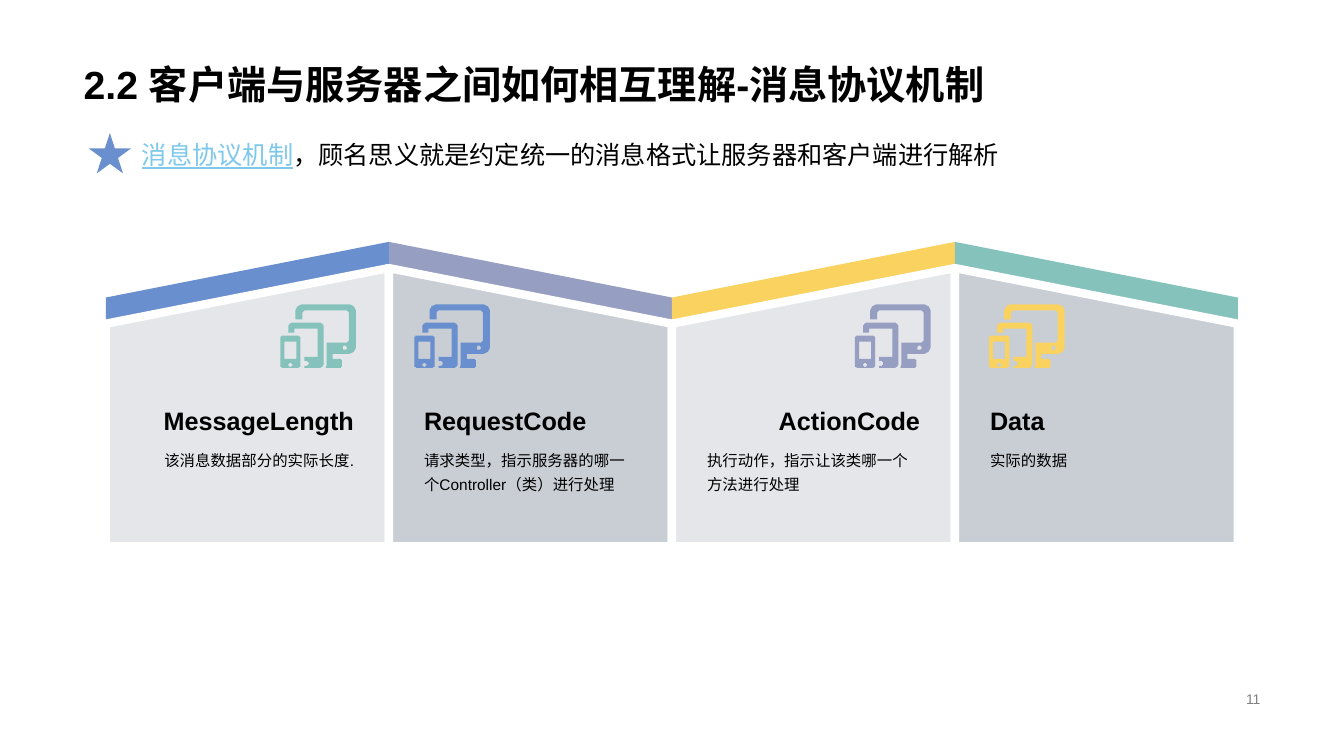
import math

import pptx
import pptx.util
from pptx.dml.color import RGBColor
from pptx.enum.shapes import MSO_SHAPE
from pptx.enum.text import MSO_ANCHOR, MSO_AUTO_SIZE, PP_ALIGN
from pptx.util import Inches

BLUE = RGBColor(0x69, 0x8F, 0xCE)
LILAC = RGBColor(0x96, 0x9E, 0xC2)
YELLOW = RGBColor(0xFA, 0xD2, 0x5F)
TEAL = RGBColor(0x85, 0xC2, 0xBC)
LIGHT = RGBColor(0xE4, 0xE6, 0xEA)
MID = RGBColor(0xC9, 0xCE, 0xD5)
SKY = RGBColor(0x7D, 0xC8, 0xEB)
GRAY = RGBColor(0x80, 0x80, 0x80)
BLACK = RGBColor(0, 0, 0)
WHITE = RGBColor(0xFF, 0xFF, 0xFF)
LEFT, RIGHT = PP_ALIGN.LEFT, PP_ALIGN.RIGHT

HEADLINE = "2.2 客户端与服务器之间如何相互理解-消息协议机制"
KEYWORD = "消息协议机制"
DEFINITION = "，顾名思义就是约定统一的消息格式让服务器和客户端进行解析"
PAGE_NUMBER = "11"

# heading, description, description alignment, roof colour, icon colour, icon left
FIELDS = [
    ("MessageLength", "该消息数据部分的实际长度.", RIGHT, BLUE, TEAL, 2.78),
    ("RequestCode", "请求类型，指示服务器的哪一个Controller（类）进行处理", LEFT, LILAC, BLUE, 4.11),
    ("ActionCode", "执行动作，指示让该类哪一个方法进行处理", LEFT, YELLOW, LILAC, 8.48),
    ("Data", "实际的数据", LEFT, TEAL, YELLOW, 9.81),
]

CARDS_LEFT, ROOF_TOP, WALL_TOP = 1.05, 2.4, 2.66
CARD_WIDTH, CARD_HEIGHT = 2.807, 2.76
ICON_TOP = 3.02


def rounded_box(left, top, right, bottom, radius):
    return [(left, top, radius), (right, top, radius),
            (right, bottom, radius), (left, bottom, radius)]


PHONE_BUTTON = rounded_box(8.2, 58, 12, 62, 1.9)
MONITOR_LIGHT = rounded_box(61.5, 41, 66, 45.2, 2.1)
PHONE_SCREEN = rounded_box(4, 37, 16, 54, 0)
PHONE = rounded_box(0, 31, 20, 63, 3)
TABLET = [(8, 18, 4), (43, 18, 4), (43, 63, 4), (24, 63, 0), (24, 61, 0),
          (28, 61, 2.4), (28, 56, 2.4), (24, 56, 0), (24, 52, 0), (37, 52, 0),
          (37, 24, 0), (14, 24, 0), (14, 28, 0), (8, 28, 0)]
MONITOR = [(15, 0, 8), (75, 0, 8), (75, 49, 8), (52, 49, 0), (52, 54, 0),
           (61, 54, 2.5), (61, 63, 2.5), (45, 63, 0), (46, 60, 0), (46, 38, 0),
           (68, 38, 3), (68, 6, 3), (22, 6, 3), (22, 15, 0), (15, 15, 0)]
DEVICES = [PHONE_BUTTON, MONITOR_LIGHT, PHONE_SCREEN, PHONE, TABLET, MONITOR]


def outline(corners):
    points = []
    for index, (x, y, radius) in enumerate(corners):
        if not radius:
            points.append((x, y))
            continue
        ends = []
        for nx, ny, _ in (corners[index - 1], corners[(index + 1) % len(corners)]):
            reach = radius / math.hypot(nx - x, ny - y)
            ends.append(((nx - x) * reach, (ny - y) * reach))
        (ax, ay), (bx, by) = ends
        for step in range(7):
            angle = step * math.pi / 12
            toward_a, toward_b = 1 - math.sin(angle), 1 - math.cos(angle)
            points.append((x + ax * toward_a + bx * toward_b,
                           y + ay * toward_a + by * toward_b))
    return points


def paint(shape, color, border=None):
    shape.shadow.inherit = False
    shape.fill.solid()
    shape.fill.fore_color.rgb = color
    if border is None:
        shape.line.fill.background()
    else:
        shape.line.color.rgb = border
        shape.line.width = pptx.util.Pt(6)


def style(paragraph, size, color, bold=False, align=LEFT, spacing=None):
    paragraph.alignment = align
    paragraph.line_spacing = spacing
    paragraph.font.name = "Arial"
    paragraph.font.size = pptx.util.Pt(size)
    paragraph.font.bold = bold
    paragraph.font.color.rgb = color


def add_text(slide, box, text, size, color, anchor=MSO_ANCHOR.TOP, **look):
    frame = slide.shapes.add_textbox(*map(Inches, box)).text_frame
    frame.word_wrap = True
    frame.vertical_anchor = anchor
    paragraph = frame.paragraphs[0]
    paragraph.text = text
    style(paragraph, size, color, **look)
    return paragraph


def add_panel(slide, left, top, color, mirrored, border=None):
    panel = slide.shapes.add_shape(
        MSO_SHAPE.FLOWCHART_MANUAL_INPUT,
        *map(Inches, (left, top, CARD_WIDTH, CARD_HEIGHT)))
    paint(panel, color, border)
    if mirrored:
        panel._element.spPr.xfrm.set("flipH", "1")


def add_devices(slide, left, color):
    contours = [outline(device) for device in DEVICES]
    builder = slide.shapes.build_freeform(*contours[0][0], scale=Inches(0.01))
    for index, points in enumerate(contours):
        if index:
            builder.move_to(*points[0])
        builder.add_line_segments(points[1:], close=True)
    paint(builder.convert_to_shape(Inches(left), Inches(ICON_TOP)), color)


def main():
    deck = pptx.Presentation()
    deck.slide_width, deck.slide_height = Inches(13.33), Inches(7.5)
    slide = deck.slides.add_slide(deck.slide_layouts[5])

    title = slide.shapes.title
    title.left, title.top, title.width, title.height = map(
        Inches, (0.73, 0, 11.87, 1.12))
    title.text_frame.text = HEADLINE
    title.text_frame.auto_size = MSO_AUTO_SIZE.NONE
    title.text_frame.vertical_anchor = MSO_ANCHOR.BOTTOM
    style(title.text_frame.paragraphs[0], 28, BLACK, bold=True, spacing=0.9)

    add_text(slide, (9.42, 6.82, 3.18, 0.23), PAGE_NUMBER, 10, GRAY,
             MSO_ANCHOR.MIDDLE, align=RIGHT)

    for index, (heading, description, align, roof, icon, icon_left) in enumerate(FIELDS):
        left = CARDS_LEFT + index * CARD_WIDTH
        mirrored = index % 2 == 1
        add_panel(slide, left, ROOF_TOP, roof, mirrored)
        add_panel(slide, left, WALL_TOP, MID if mirrored else LIGHT, mirrored, WHITE)
        add_devices(slide, icon_left, icon)
        text_left = left + 0.25
        add_text(slide, (text_left, 4.37, 2.31, 0.61), description, 11, BLACK,
                 align=align, spacing=1.3)
        add_text(slide, (text_left, 3.95, 2.31, 0.42), heading, 18, BLACK,
                 MSO_ANCHOR.BOTTOM, bold=True, align=LEFT if mirrored else RIGHT)

    intro = add_text(slide, (1.31, 1.33, 10.52, 0.4), KEYWORD, 18, BLACK)
    keyword = intro.runs[0]
    keyword.font.color.rgb = SKY
    keyword.font.underline = True
    intro.add_run().text = DEFINITION

    star = slide.shapes.add_shape(
        MSO_SHAPE.STAR_5_POINT, *map(Inches, (0.88, 1.32, 0.42, 0.4)))
    paint(star, BLUE)

    deck.save("out.pptx")


if __name__ == "__main__":
    main()
